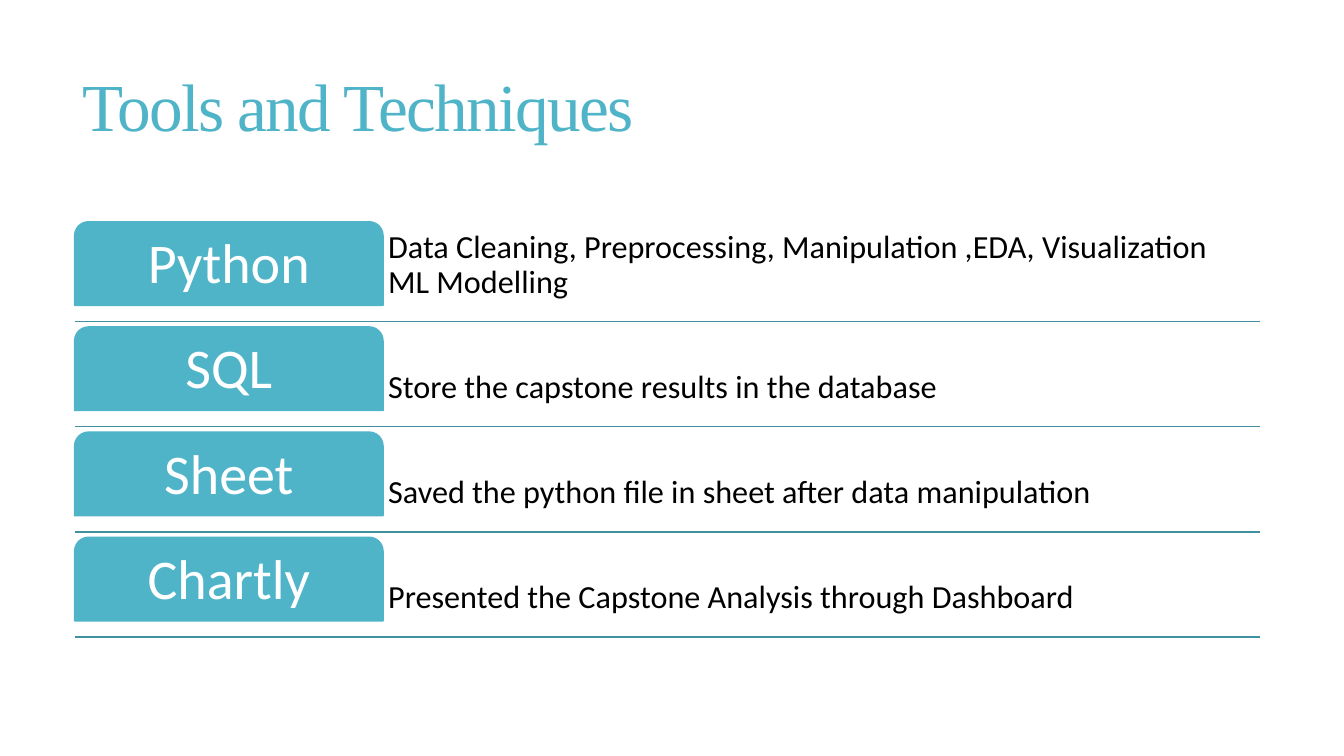
from dataclasses import dataclass

from lxml import etree
from pptx import Presentation
from pptx import util as u
from pptx.dml.color import RGBColor
from pptx.enum import shapes, text
from pptx.oxml.ns import qn


@dataclass(frozen=True)
class Theme:
    """Colours, fonts and type sizes of the slide."""
    accent: str = "50B4C8"
    rule: str = "4090A0"
    ink: str = "000000"
    paper: str = "FFFFFF"
    heading_font: str = "Times New Roman"
    body_font: str = "Calibri"
    heading_size: int = 48
    tool_size: int = 40
    use_size: int = 23


class ToolSlide:
    """Draws the elements of a tool list on one slide."""

    def __init__(self, slide, theme):
        self.shapes = slide.shapes
        self.theme = theme

    def label(self, holder, words, font, size, colour, anchor, inset,
              align=text.PP_ALIGN.LEFT, leading=0.9, tracking=0):
        """Put one styled paragraph into a shape."""
        frame = holder.text_frame
        frame.text = words
        frame.word_wrap = True
        frame.vertical_anchor = anchor
        frame.margin_left = frame.margin_right = u.Inches(inset)
        frame.margin_top = frame.margin_bottom = u.Inches(inset)
        paragraph = frame.paragraphs[0]
        paragraph.alignment = align
        paragraph.line_spacing = leading
        run = paragraph.runs[0]
        run.font.name = font
        run.font.size = u.Pt(size)
        run.font.color.rgb = RGBColor.from_string(colour)
        if tracking:
            run._r.get_or_add_rPr().set("spc", str(round(tracking * 100)))

    def box(self, left, top, width, height):
        """Add an empty text box."""
        return self.shapes.add_textbox(*map(u.Inches, (left, top, width, height)))

    def heading(self, words, left, top, width, height):
        """Add the slide heading."""
        style = self.theme
        self.label(self.box(left, top, width, height), words, style.heading_font,
                   style.heading_size, style.accent, text.MSO_ANCHOR.MIDDLE,
                   0.1, leading=0.85, tracking=-1.2)

    def rule(self, left, right, y):
        """Add a thin horizontal rule."""
        line = self.shapes.add_connector(
            shapes.MSO_CONNECTOR.STRAIGHT, *map(u.Inches, (left, y, right, y)))
        line.line.color.rgb = RGBColor.from_string(self.theme.rule)
        line.line.width = u.Pt(1)
        etree.SubElement(line._element.spPr, qn("a:effectLst"))

    def use(self, words, left, top, width, height):
        """Add the description of what a tool is used for."""
        style = self.theme
        self.label(self.box(left, top, width, height), words, style.body_font,
                   style.use_size, style.ink, text.MSO_ANCHOR.BOTTOM, 0.05)

    def tab(self, words, left, top, width, height):
        """Add a tool name on a tab with rounded top corners."""
        style = self.theme
        tab = self.shapes.add_shape(
            shapes.MSO_SHAPE.ROUND_2_SAME_RECTANGLE,
            *map(u.Inches, (left, top, width, height)))
        tab.shadow.inherit = False
        tab.fill.solid()
        tab.fill.fore_color.rgb = RGBColor.from_string(style.accent)
        tab.line.color.rgb = RGBColor.from_string(style.accent)
        tab.line.width = u.Pt(1)
        self.label(tab, words, style.body_font, style.tool_size, style.paper,
                   text.MSO_ANCHOR.MIDDLE, 0.08, text.PP_ALIGN.CENTER)


TOOLS = [
    ("Python", "Data Cleaning, Preprocessing, Manipulation ,EDA, Visualization ML Modelling"),
    ("SQL", "Store the capstone results in the database"),
    ("Sheet", "Saved the python file in sheet after data manipulation"),
    ("Chartly", "Presented the Capstone Analysis through Dashboard"),
]
LEFT, SPLIT, RIGHT = 0.74, 3.8, 12.5
FIRST_TOP, LAST_TOP = 2.2, 5.33
TAB_HEIGHT, RULE_DROP = 0.83, 0.99


def main():
    """Build and save the slide."""
    deck = Presentation()
    deck.slide_width, deck.slide_height = u.Inches(13.33), u.Inches(7.5)
    page = ToolSlide(deck.slides.add_slide(deck.slide_layouts[6]), Theme())
    page.heading("Tools and Techniques", 0.72, 0.55, 11.78, 1.1)
    pitch = (LAST_TOP - FIRST_TOP) / (len(TOOLS) - 1)
    for row, (tool, purpose) in enumerate(TOOLS):
        top = FIRST_TOP + row * pitch
        page.rule(LEFT, RIGHT, top + RULE_DROP)
        page.use(purpose, SPLIT, top, RIGHT - SPLIT, TAB_HEIGHT)
        page.tab(tool, LEFT, top, SPLIT - LEFT, TAB_HEIGHT)
    deck.save("out.pptx")


if __name__ == "__main__":
    main()
